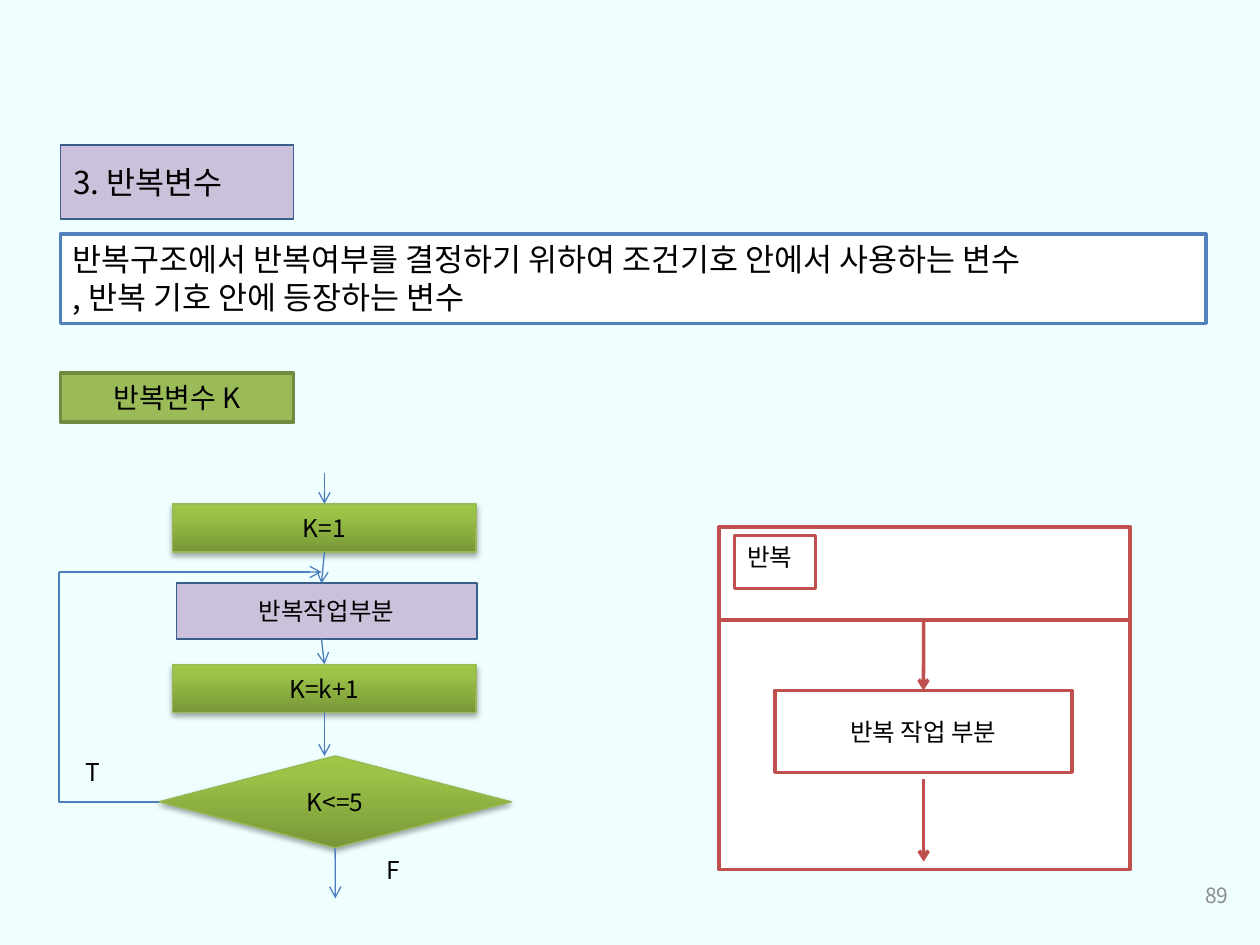
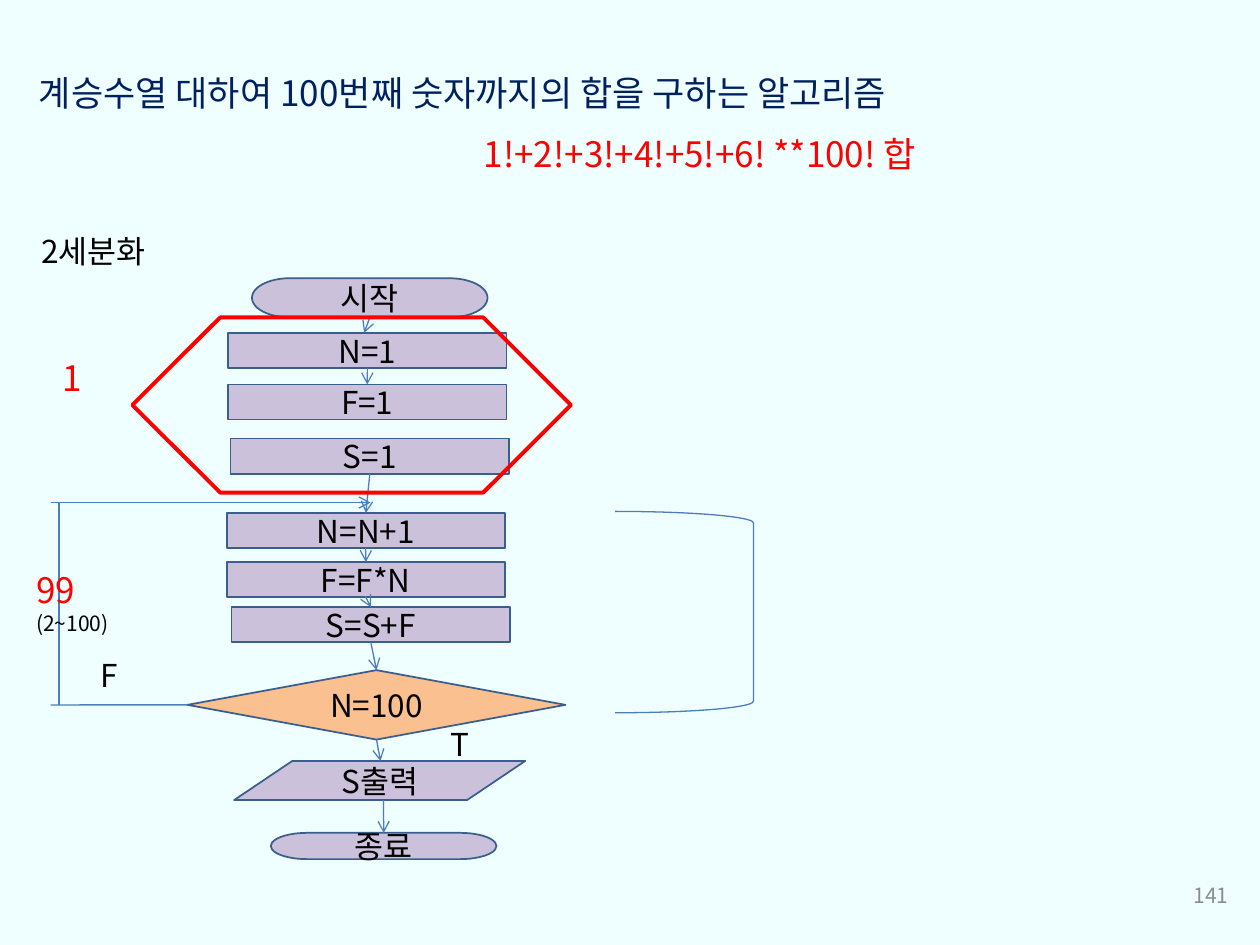
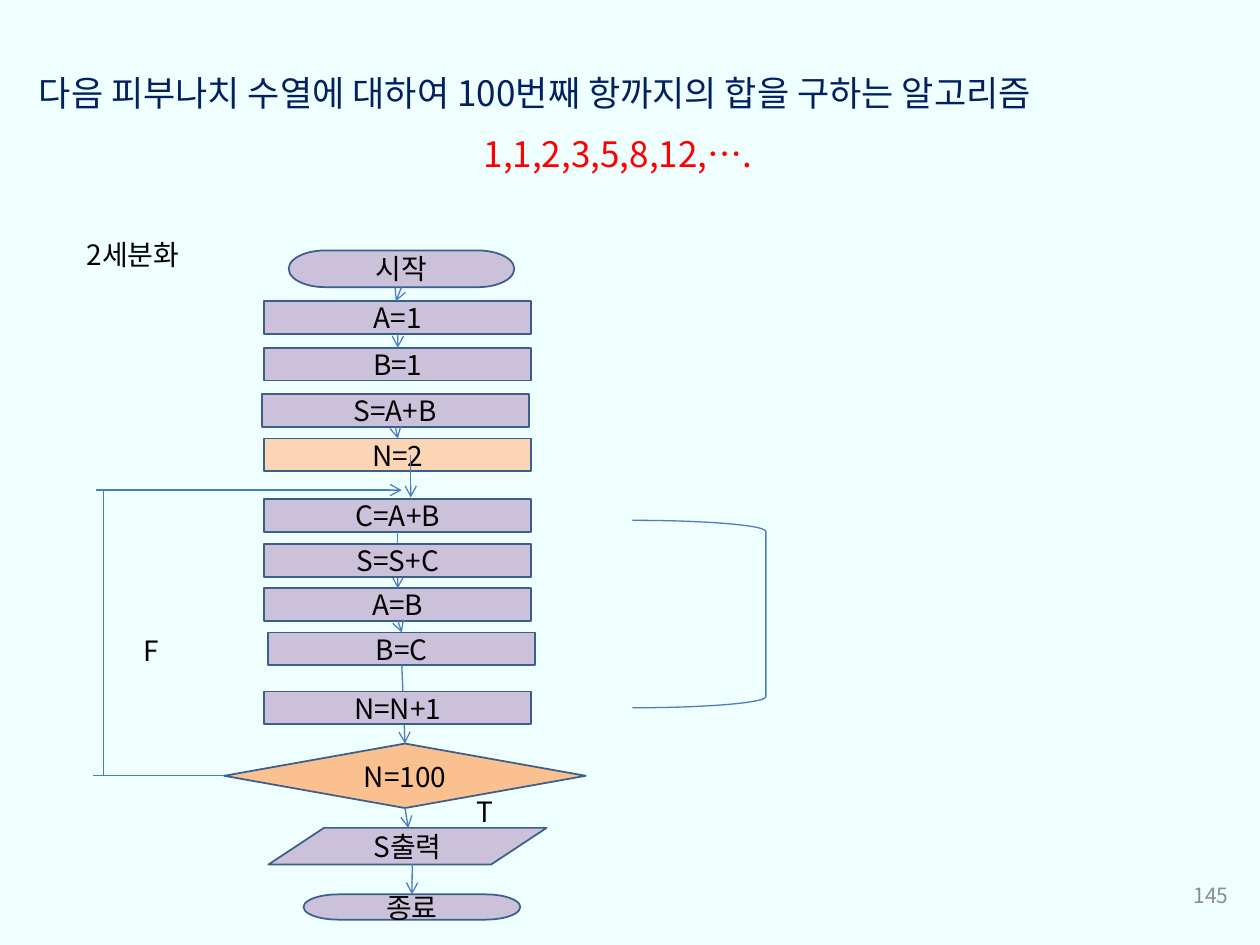
import copy

import pptx
import pptx.dml.color
import pptx.enum.shapes
import pptx.enum.text
import pptx.oxml
import pptx.oxml.ns
import pptx.util

Cm, Pt = pptx.util.Cm, pptx.util.Pt
qn = pptx.oxml.ns.qn
RGB = pptx.dml.color.RGBColor.from_string
KIND = pptx.enum.shapes.MSO_SHAPE
CONNECTOR = pptx.enum.shapes.MSO_CONNECTOR
ALIGN = pptx.enum.text.PP_ALIGN
ANCHOR = pptx.enum.text.MSO_ANCHOR

FONT = "Noto Sans CJK KR"
COLORS = {
    "background": "EFFEFE", "text": "000000", "title": "002060", "accent": "FF0000",
    "page": "8C8C8C", "white": "FFFFFF", "step": "CCC1DA", "step_edge": "3A5F8C",
    "counter": "FCD5B5", "decision": "FAC090", "arrow": "4B7EBC", "definition": "4F81BD",
    "variable": "9BBB59", "variable_edge": "738A42", "repeat": "C0504D",
    "green_edge": "98B955", "green_dark": "779737", "green_mid": "9BC348", "green_light": "9DC746",
}


def put(slide, kind, at, text="", size=14, color="text", fill=None, edge=None, weight=1,
        align=ALIGN.LEFT, anchor=ANCHOR.TOP):
    box = [Cm(length) for length in at]
    if kind == "title":
        shape = slide.shapes.title
        shape.left, shape.top, shape.width, shape.height = box
    elif kind == "text":
        shape = slide.shapes.add_textbox(*box)
    else:
        shape = slide.shapes.add_shape(kind, *box)
        shape.shadow.inherit = False
        shape.fill.background()
    if fill:
        shape.fill.solid()
        shape.fill.fore_color.rgb = RGB(COLORS[fill])
    if edge:
        shape.line.color.rgb = RGB(COLORS[edge])
        shape.line.width = Pt(weight)
    if text:
        frame = shape.text_frame
        frame.text = text
        frame.word_wrap = True
        frame.auto_size = pptx.enum.text.MSO_AUTO_SIZE.NONE
        frame.vertical_anchor = anchor
        for paragraph in frame.paragraphs:
            paragraph.alignment = align
            for run in paragraph.runs:
                run.font.size = Pt(size)
                run.font.name = FONT
                run.font.color.rgb = RGB(COLORS[color])
                east_asian = pptx.oxml.parse_xml(
                    f'<a:ea {pptx.oxml.ns.nsdecls("a")} typeface="{FONT}"/>')
                run.font._element.append(east_asian)
    return shape


def link(slide, blocks, start, end, head=True, color="arrow", weight=0.75, bend=False):
    points = [(0, 0) if isinstance(spot[0], str) else spot for spot in (start, end)]
    route = CONNECTOR.ELBOW if bend else CONNECTOR.STRAIGHT
    line = slide.shapes.add_connector(route, *[Cm(value) for point in points for value in point])
    if isinstance(start[0], str):
        line.begin_connect(blocks[start[0]], start[1])
    if isinstance(end[0], str):
        line.end_connect(blocks[end[0]], end[1])
    line.line.color.rgb = RGB(COLORS[color])
    line.line.width = Pt(weight)
    properties = line._element.spPr
    if bend:
        properties.find(qn("a:prstGeom")).set("prst", "bentConnector2")
    if head:
        properties.find(qn("a:ln")).append(pptx.oxml.parse_xml(
            f'<a:tailEnd {pptx.oxml.ns.nsdecls("a")} type="arrow"/>'))
    properties.append(pptx.oxml.parse_xml(f'<a:effectLst {pptx.oxml.ns.nsdecls("a")}/>'))


prs = pptx.Presentation()
prs.slide_width, prs.slide_height = Cm(25.4), Cm(19.05)
background = prs.slide_master.background.fill
background.solid()
background.fore_color.rgb = RGB(COLORS["background"])
slides = []
for page in ("89", "141", "145"):
    slide = prs.slides.add_slide(prs.slide_layouts[5])
    put(slide, "text", (19.1, 17.53, 5.92, 1.02), page, 12, "page",
        align=ALIGN.RIGHT, anchor=ANCHOR.MIDDLE)
    slides.append(slide)

centred = {"align": ALIGN.CENTER, "anchor": ANCHOR.MIDDLE}

slide = slides[0]
put(slide, "title", (1.22, 2.92, 4.7, 1.5), "3. 반복변수", 18, fill="step", edge="step_edge",
    anchor=ANCHOR.MIDDLE)
put(slide, KIND.RECTANGLE, (1.22, 4.72, 23.09, 1.8),
    "반복구조에서 반복여부를 결정하기 위하여 조건기호 안에서 사용하는 변수\n, 반복 기호 안에 등장하는 변수",
    18, fill="white", edge="definition", weight=2)
put(slide, KIND.RECTANGLE, (1.22, 7.52, 4.7, 0.99), "반복변수 K", 16, fill="variable",
    edge="variable_edge", weight=2, **centred)

blocks = {}
for kind, text, at in (
    (KIND.RECTANGLE, "K=1", (3.48, 10.16, 6.12, 0.97)),
    (KIND.RECTANGLE, "K=k+1", (3.48, 13.39, 6.12, 0.97)),
    (KIND.FLOWCHART_DECISION, "K<=5", (3.2, 15.24, 7.11, 1.85)),
):
    block = put(slide, kind, at, text, edge="green_edge", weight=0.75, **centred)
    block.fill.gradient()
    block.fill.gradient_angle = 90
    stop_list = block._element.spPr.find(".//" + qn("a:gsLst"))
    stop_list.append(copy.deepcopy(stop_list[1]))
    for stop, position, color in zip(block.fill.gradient_stops, (0, 0.8, 1),
                                     ("green_dark", "green_mid", "green_light")):
        stop.position = position
        stop.color.rgb = RGB(COLORS[color])
    block._element.spPr.find(qn("a:effectLst")).append(pptx.oxml.parse_xml(
        f'<a:outerShdw {pptx.oxml.ns.nsdecls("a")} blurRad="40000" dist="23000" dir="5400000" '
        'rotWithShape="0"><a:srgbClr val="000000"><a:alpha val="35000"/></a:srgbClr></a:outerShdw>'))
    blocks[text] = block
put(slide, KIND.FLOWCHART_PROCESS, (3.56, 11.76, 6.05, 1.12), "반복작업부분", fill="step",
    edge="step_edge", **centred)
link(slide, blocks, (3.2, 16.17), (1.19, 11.53), head=False, bend=True)
for start, end in (
    ((6.54, 9.53), ("K=1", 0)),
    (("K=1", 2), (6.48, 11.76)),
    ((6.48, 12.88), ("K=k+1", 0)),
    (("K=k+1", 2), (6.54, 15.24)),
    ((1.19, 11.53), (6.48, 11.53)),
    (("K<=5", 2), (6.76, 18.11)),
):
    link(slide, blocks, start, end)
put(slide, "text", (1.47, 15.14, 2.01, 1.22), "T")
put(slide, "text", (7.54, 17.12, 2.01, 1.22), "F")

repeat = {"fill": "white", "edge": "repeat", "weight": 2}
put(slide, KIND.RECTANGLE, (14.5, 10.62, 8.28, 6.91), **repeat)
put(slide, KIND.RECTANGLE, (14.81, 10.8, 1.63, 1.07), "반복", **repeat)
blocks["work"] = put(slide, KIND.FLOWCHART_PROCESS, (15.62, 13.92, 5.99, 1.65), "반복 작업 부분",
                     **repeat, **centred)
for start, end, head in (
    ((14.5, 12.5), (22.78, 12.5), False),
    ((18.62, 12.5), ("work", 0), True),
    ((18.62, 15.7), (18.62, 17.37), True),
):
    link(slide, blocks, start, end, head, "repeat", 2)

factorial = {
    "title": "계승수열 대하여 100번째 숫자까지의 합을 구하는 알고리즘",
    "formula": "1!+2!+3!+4!+5!+6! **100! 합",
    "size": 18,
    "step_size": (5.61, 0.71),
    "steps": [("N=1", 4.6, 6.71), ("F=1", 4.6, 7.75), ("S=1", 4.65, 8.84),
              ("N=N+1", 4.57, 10.34), ("F=F*N", 4.57, 11.33), ("S=S+F", 4.67, 12.24)],
    "covering_steps": [],
    "start": (5.08, 5.61, 4.75, 0.79),
    "decision": (3.78, 13.51, 7.62, 1.4),
    "output": (4.72, 15.34, 5.87, 0.79),
    "end": (5.46, 16.79, 4.55, 0.53),
    "links": [(("시작", 2), (7.34, 6.71)), (("N=1", 2), ("F=1", 0)), (("S=1", 2), ("N=N+1", 0)),
              (("N=N+1", 2), ("F=F*N", 0)), (("F=F*N", 2), ("S=S+F", 0)),
              (("S=S+F", 2), ("N=100", 0)), (("N=100", 2), (7.67, 15.34)),
              ((7.73, 16.13), ("종료", 0)), ((1.02, 10.13), (7.47, 10.13))],
    "plain_links": [(("N=100", 1), (1.02, 14.21)), ((1.19, 14.21), (1.19, 10.13))],
    "labels": [("F", (1.78, 13.11, 2.01, 1.02)), ("T", (8.84, 14.5, 2.01, 1.02)),
               ("2세분화", (0.58, 4.55, 3.4, 1.02))],
    "bracket": (12.4, 10.31, 2.79, 4.06),
}
fibonacci = {
    "title": "다음 피부나치 수열에 대하여 100번째 항까지의 합을 구하는 알고리즘",
    "formula": "1,1,2,3,5,8,12,….",
    "size": 16,
    "step_size": (5.38, 0.66),
    "steps": [("A=1", 5.33, 6.07), ("B=1", 5.33, 7.01), ("S=A+B", 5.28, 7.95),
              ("N=2", 5.33, 8.84), ("C=A+B", 5.33, 10.06), ("A=B", 5.33, 11.86),
              ("B=C", 5.41, 12.75)],
    "covering_steps": [("S=S+C", 5.33, 10.97), ("N=N+1", 5.33, 13.94)],
    "start": (5.82, 5.05, 4.55, 0.74),
    "decision": (4.52, 14.99, 7.29, 1.3),
    "output": (5.41, 16.69, 5.61, 0.74),
    "end": (6.12, 18.03, 4.37, 0.51),
    "links": [(("시작", 2), (7.98, 6.07)), (("A=1", 2), ("B=1", 0)), (("S=A+B", 2), ("N=2", 0)),
              ((8.28, 9.17), (8.28, 10.03)), (("C=A+B", 2), ("A=B", 0)),
              (("A=B", 2), ("B=C", 0)), (("B=C", 2), ("N=100", 0)),
              (("N=100", 2), (8.23, 16.69)), ((8.31, 17.42), ("종료", 0)),
              ((1.93, 9.88), (8.1, 9.88))],
    "plain_links": [(("N=100", 1), (1.88, 15.64)), ((2.08, 15.64), (2.08, 9.88))],
    "labels": [("F", (2.64, 12.65, 1.91, 1.12)), ("T", (9.35, 15.9, 1.91, 1.12)),
               ("2세분화", (1.5, 4.67, 3.25, 1.12))],
    "bracket": (12.75, 10.49, 2.69, 3.78),
}

for slide, flow in zip(slides[1:], (factorial, fibonacci)):
    put(slide, "title", (0.53, 1.32, 23.62, 1.12), flow["title"], 20, "title")
    put(slide, "text", (9.5, 2.54, 14.05, 1.12), flow["formula"], 20, "accent")
    style = {"size": flow["size"], "edge": "step_edge", **centred}
    blocks = {}
    for kind, text, part, fill in (
        (KIND.FLOWCHART_TERMINATOR, "시작", "start", "step"),
        (KIND.FLOWCHART_DECISION, "N=100", "decision", "decision"),
        (KIND.FLOWCHART_DATA, "S출력", "output", "step"),
        (KIND.FLOWCHART_TERMINATOR, "종료", "end", "step"),
    ):
        blocks[text] = put(slide, kind, flow[part], text, fill=fill, **style)
    for group in ("steps", "covering_steps"):
        for text, left, top in flow[group]:
            blocks[text] = put(slide, KIND.FLOWCHART_PROCESS, (left, top, *flow["step_size"]), text,
                               fill="counter" if text == "N=2" else "step", **style)
        if group == "steps":
            for start, end in flow["links"]:
                link(slide, blocks, start, end)
            for start, end in flow["plain_links"]:
                link(slide, blocks, start, end, head=False)
    for text, at in flow["labels"]:
        put(slide, "text", at, text, flow["size"])
    put(slide, KIND.RIGHT_BRACKET, flow["bracket"], edge="arrow", weight=0.75)

slide = slides[1]
put(slide, KIND.FLOWCHART_PREPARATION, (2.67, 6.4, 8.84, 3.53), edge="accent", weight=2.25)
put(slide, "text", (1.02, 7.06, 1.37, 1.12), "1", 20, "accent")
repeat_count = put(slide, "text", (0.48, 11.33, 4.37, 1.63), "99\n(2~100)", 20, "accent")
range_run = repeat_count.text_frame.paragraphs[1].runs[0]
range_run.font.size = Pt(12)
range_run.font.color.rgb = RGB(COLORS["text"])

prs.save("out.pptx")
